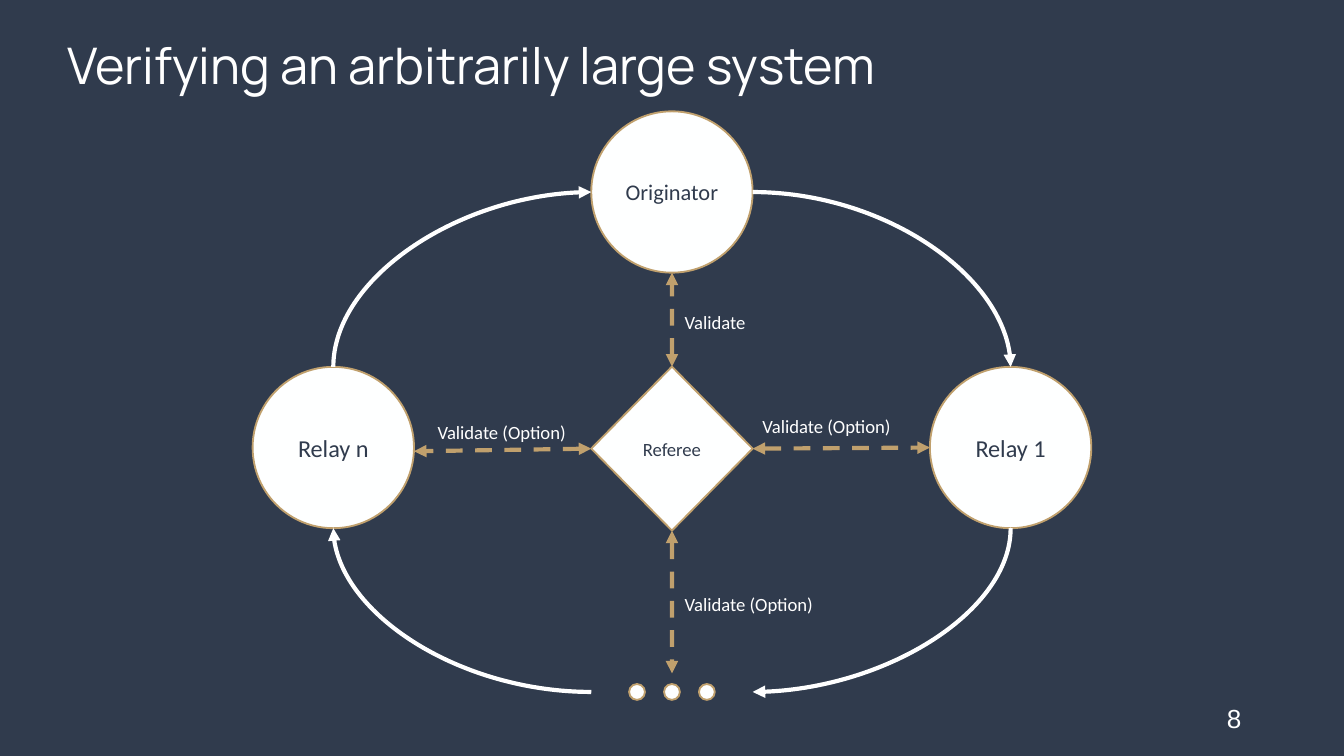
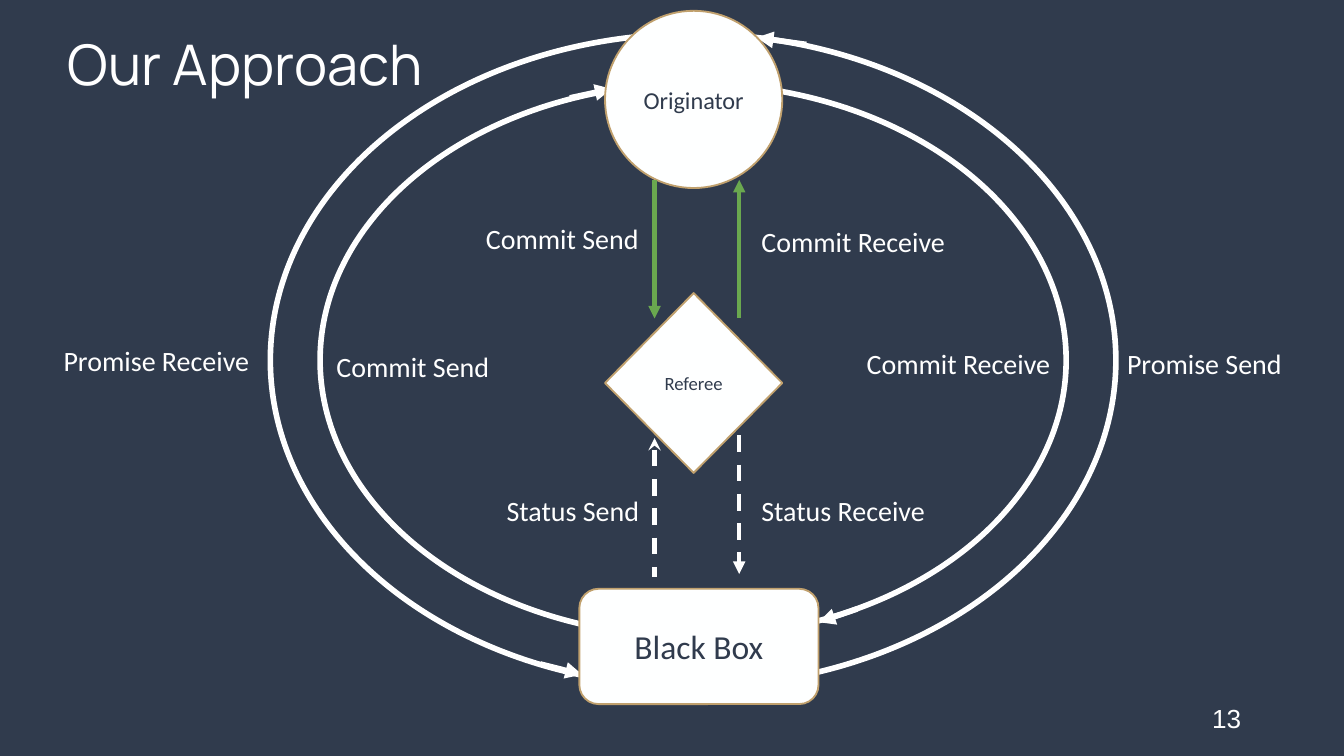
"""Build two slides on verifying a relay system with a referee."""
import pptx
import pptx.dml.color
import pptx.enum.dml
import pptx.enum.shapes
import pptx.enum.text
import pptx.oxml
import pptx.oxml.ns
import pptx.util

Cm = pptx.util.Cm
Pt = pptx.util.Pt
Kind = pptx.enum.shapes.MSO_SHAPE
Link = pptx.enum.shapes.MSO_CONNECTOR
Align = pptx.enum.text.PP_ALIGN
Anchor = pptx.enum.text.MSO_ANCHOR
TOP, LEFT, BOTTOM, RIGHT = range(4)

NAVY, WHITE, PAPER, GOLD, GREEN = "303B4D", "FFFFFF", "FEFFFF", "C0A06D", "6AA84F"


def rgb(value):
    return pptx.dml.color.RGBColor.from_string(value)


def set_values(target, values):
    for name, value in values.items():
        setattr(target, name, value)


class Deck:
    FRAME = {"word_wrap": True, "margin_left": Cm(0.19), "margin_right": Cm(0.19),
             "margin_top": Cm(0.1), "margin_bottom": Cm(0.1)}

    def __init__(self):
        self.presentation = pptx.Presentation()
        set_values(self.presentation, {"slide_width": Cm(25.4), "slide_height": Cm(14.29)})
        self.slide = None

    def start_slide(self, title, title_size, number):
        self.slide = self.presentation.slides.add_slide(self.presentation.slide_layouts[6])
        background = self.slide.background.fill
        background.solid()
        background.fore_color.rgb = rgb(NAVY)
        self.label(title, 1.09, 0.71, 23.22, 1.14, title_size, font="Manrope",
                   anchor=Anchor.MIDDLE, spacing=0.9)
        self.label(str(number), 17.93, 13.23, 5.72, 0.76, 14, Align.RIGHT, "Arial",
                   Anchor.MIDDLE, 0.9)

    def fill_text(self, shape, text, size, color, align, font="Calibri",
                  anchor=Anchor.MIDDLE, spacing=None):
        frame = shape.text_frame
        set_values(frame, {**self.FRAME, "vertical_anchor": anchor})
        paragraph = frame.paragraphs[0]
        set_values(paragraph, {"text": text, "alignment": align, "line_spacing": spacing})
        set_values(paragraph.runs[0].font, {"name": font, "size": Pt(size)})
        paragraph.runs[0].font.color.rgb = rgb(color)

    def label(self, text, left, top, width, height, size, align=Align.LEFT,
              font="Calibri", anchor=Anchor.TOP, spacing=None):
        shape = self.slide.shapes.add_textbox(Cm(left), Cm(top), Cm(width), Cm(height))
        self.fill_text(shape, text, size, WHITE, align, font, anchor, spacing)

    def node(self, kind, center_x, center_y, width, height, text=None, size=13,
             fill=PAPER, line=GOLD, weight=1):
        shape = self.slide.shapes.add_shape(
            kind, Cm(center_x - width / 2), Cm(center_y - height / 2), Cm(width), Cm(height))
        shape.shadow.inherit = False
        if fill:
            shape.fill.solid()
            shape.fill.fore_color.rgb = rgb(fill)
        else:
            shape.fill.background()
        shape.line.color.rgb = rgb(line)
        shape.line.width = Pt(weight)
        if text:
            self.fill_text(shape, text, size, NAVY, Align.CENTER)
        return shape

    def arrow(self, begin, end, color=WHITE, weight=2.25, head=None, tail="triangle",
              dashed=False, curved=False):
        connector = self.slide.shapes.add_connector(
            Link.CURVE if curved else Link.STRAIGHT, *map(Cm, begin + end))
        connector.line.color.rgb = rgb(color)
        connector.line.width = Pt(weight)
        if dashed:
            connector.line.dash_style = pptx.enum.dml.MSO_LINE.DASH
        properties = connector.element.spPr
        qn = pptx.oxml.ns.qn
        if curved:
            properties.find(qn("a:prstGeom")).set("prst", "curvedConnector2")
        outline = properties.find(qn("a:ln"))
        for tag, style in (("headEnd", head), ("tailEnd", tail)):
            if style:
                outline.append(outline.makeelement(qn(f"a:{tag}"), {"type": style}))
        properties.append(properties.makeelement(qn("a:effectLst"), {}))
        return connector


def build_large_system(deck):
    deck.start_slide("Verifying an arbitrarily large system", 27, 8)
    middle, reach, size = 12.7, 6.4, 3.05
    top, center, bottom = 3.63, 8.46, 13.08
    radius = size / 2
    deck.node(Kind.OVAL, middle, top, size, size, "Originator", 12)
    for text, side in (("Relay n", -1), ("Relay 1", 1)):
        deck.node(Kind.OVAL, middle + side * reach, center, size, size, text)
        for row, direction in ((top, -1), (bottom, 1)):
            leaves_relay = side == direction
            deck.arrow((middle + side * radius, row),
                       (middle + side * reach, center + direction * radius), curved=True,
                       head="triangle" if leaves_relay else None,
                       tail=None if leaves_relay else "triangle")
    for step in (-1, 0, 1):
        deck.node(Kind.OVAL, middle + step * 0.66, bottom, 0.3, 0.3)
    referee = deck.node(Kind.DIAMOND, middle, 8.48, size, 3.1, "Referee", 10)
    for site, far_end in ((TOP, (middle, top + radius)),
                          (LEFT, (middle - reach + radius, 8.53)),
                          (BOTTOM, (middle, 12.73)),
                          (RIGHT, (middle + reach - radius, center))):
        link = deck.arrow(far_end, far_end, GOLD, head="triangle", dashed=True)
        link.begin_connect(referee, site)
    for text, left, label_top in (("Validate", 12.75, 5.77),
                                  ("Validate (Option)", 8.08, 7.85),
                                  ("Validate (Option)", 14.22, 7.75),
                                  ("Validate (Option)", 12.75, 11.1)):
        deck.label(text, left, label_top, 4.37, 0.56, 10)


def build_approach(deck):
    deck.start_slide("Our Approach", 30, 13)
    for width, height in ((15.98, 12.34), (14.1, 10.46)):
        deck.node(Kind.OVAL, 13.1, 6.81, width, height, fill=None, line=WHITE, weight=3)
    for begin, end in (((15.24, 0.84), (14.3, 0.71)), ((16.2, 11.51), (15.47, 11.76)),
                       ((10.77, 1.85), (11.56, 1.68)), ((10.21, 12.55), (11, 12.75))):
        deck.arrow(begin, end, weight=3)
    deck.node(Kind.OVAL, 13.11, 1.88, 3.35, 3.35, "Originator")
    deck.node(Kind.DIAMOND, 13.11, 7.24, 3.35, 3.4, "Referee", 10)
    send, receive = 12.37, 13.97
    deck.arrow((send, 3.4), (send, 6.02), GREEN)
    deck.arrow((receive, 3.4), (receive, 6.02), GREEN, head="triangle", tail=None)
    deck.arrow((send, 8.28), (send, 10.9), head="stealth", tail=None, dashed=True)
    deck.arrow((receive, 8.23), (receive, 10.85), dashed=True)
    for text, left, top, width, align in (
            ("Commit Send", 8.15, 4.09, 4.11, Align.RIGHT),
            ("Commit Receive", 14.2, 4.14, 4.83, Align.LEFT),
            ("Status Send", 9.02, 9.22, 3.25, Align.RIGHT),
            ("Status Receive", 14.2, 9.22, 4.83, Align.LEFT),
            ("Promise Receive", 0.94, 6.4, 3.96, Align.RIGHT),
            ("Commit Send", 6.17, 6.5, 3.58, Align.LEFT),
            ("Commit Receive", 16.08, 6.45, 3.96, Align.RIGHT),
            ("Promise Send", 21.11, 6.45, 3.35, Align.LEFT)):
        deck.label(text, left, top, width, 0.84, 15, align)
    deck.node(Kind.ROUNDED_RECTANGLE, 13.21, 12.22, 4.52, 2.18, "Black Box", 18)


def main():
    deck = Deck()
    build_large_system(deck)
    build_approach(deck)
    deck.presentation.save("out.pptx")


if __name__ == "__main__":
    main()
